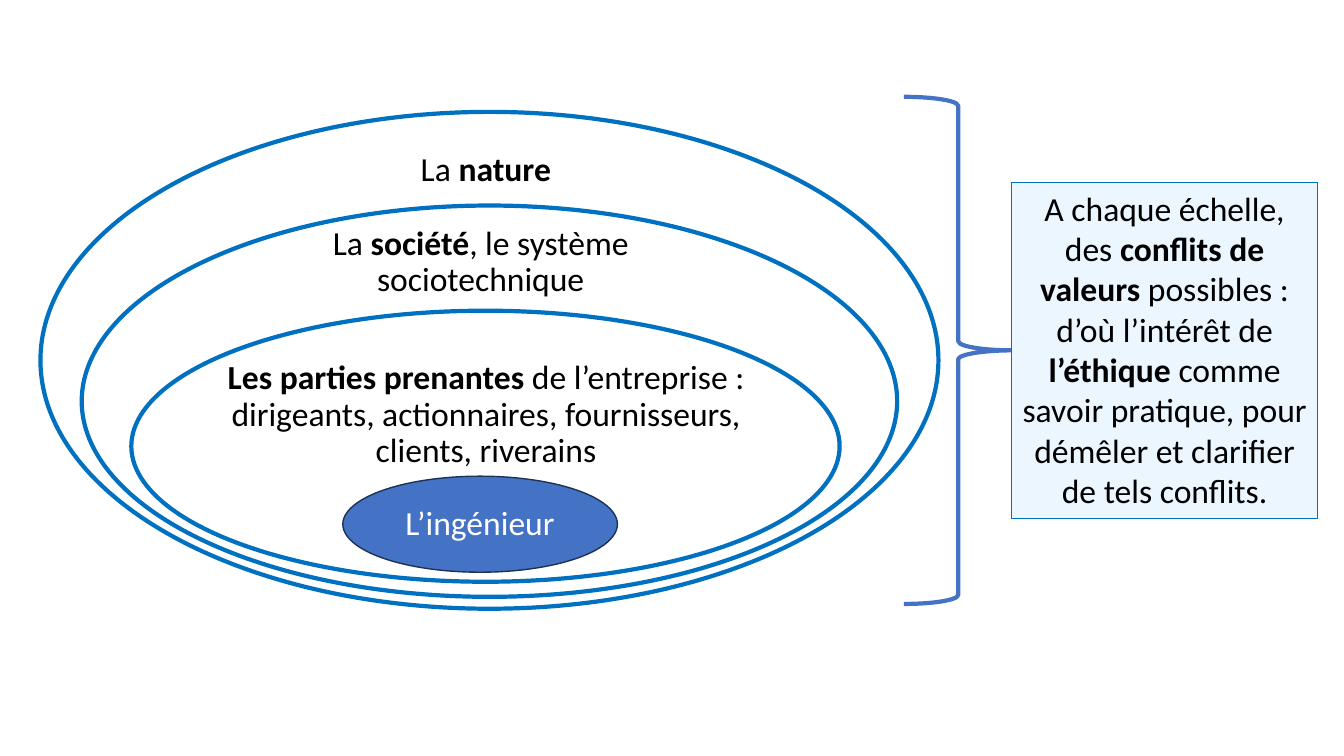
"""Build a slide of nested circles of values around the engineer."""
from pptx import Presentation
from pptx.dml.color import RGBColor
from pptx.enum.shapes import MSO_SHAPE
from pptx.enum.text import MSO_ANCHOR, PP_ALIGN
from pptx.util import Cm, Pt

OVAL = MSO_SHAPE.OVAL
BRACE = MSO_SHAPE.RIGHT_BRACE
RECT = MSO_SHAPE.RECTANGLE
CENTER = PP_ALIGN.CENTER
TOP = MSO_ANCHOR.TOP
MIDDLE = MSO_ANCHOR.MIDDLE

BLUE = "4472C4"
RING = "0070C0"
NAVY = "1E3256"
PALE = "EBF6FF"
BLACK = "000000"
WHITE = "FFFFFF"


def color(code):
    return RGBColor.from_string(code)


class Page:
    font = "Calibri"
    size = Pt(24)

    def __init__(self, deck):
        self.slide = deck.slides.add_slide(deck.slide_layouts[6])

    def shape(self, kind, box, line, width, fill=None):
        item = self.slide.shapes.add_shape(kind, *map(Cm, box))
        item.shadow.inherit = False
        item.line.color.rgb = color(line)
        item.line.width = Pt(width)
        if fill:
            item.fill.solid()
            item.fill.fore_color.rgb = color(fill)
        else:
            item.fill.background()
        return item

    def text(self, item, paras, ink=BLACK, space=0.9, anchor=TOP):
        frame = item.text_frame
        frame.word_wrap = True
        frame.vertical_anchor = anchor
        for i, parts in enumerate(paras):
            para = frame.add_paragraph() if i else frame.paragraphs[0]
            para.alignment = CENTER
            para.line_spacing = space
            para.font.name = self.font
            para.font.size = self.size
            para.font.color.rgb = color(ink)
            for words, bold in parts:
                run = para.add_run()
                run.text = words
                run.font.bold = bold

    def label(self, box, parts):
        self.text(self.slide.shapes.add_textbox(*map(Cm, box)), [parts])


def main():
    deck = Presentation()
    deck.slide_width, deck.slide_height = Cm(33.87), Cm(19.05)
    page = Page(deck)

    core = page.shape(OVAL, (8.64, 12, 6.92, 2.42), NAVY, 1, BLUE)
    page.text(core, [[("L’ingénieur", False)]], WHITE, anchor=MIDDLE)

    rings = [
        ((3.31, 7.83, 17.85, 6.83), (5.44, 8.97, 13.62, 3.02),
         [("Les parties prenantes ", True),
          ("de l’entreprise : dirigeants, actionnaires, fournisseurs, "
           "clients, riverains", False)]),
        ((2.06, 5.18, 20.55, 9.86), (6.12, 5.58, 11.99, 2.11),
         [("La ", False), ("société", True),
          (", le système sociotechnique", False)]),
        ((1.02, 2.82, 22.63, 12.52), (6.25, 3.73, 11.99, 1.17),
         [("La ", False), ("nature", True)]),
    ]
    for ring, box, parts in rings:
        page.shape(OVAL, ring, RING, 3)
        page.label(box, parts)

    page.shape(BRACE, (22.78, 2.44, 2.74, 12.78), BLUE, 3)
    note = page.shape(RECT, (25.5, 4.6, 7.7, 8.46), RING, 0.75, PALE)
    page.text(note, [
        [("A chaque échelle, des ", False), ("conflits de valeurs ", True),
         ("possibles :", False)],
        [("d’où l’intérêt de ", False), ("l’éthique", True),
         (" comme savoir pratique, pour démêler et clarifier "
          "de tels conflits.", False)],
    ], space=1.0)

    deck.save("out.pptx")


if __name__ == "__main__":
    main()
